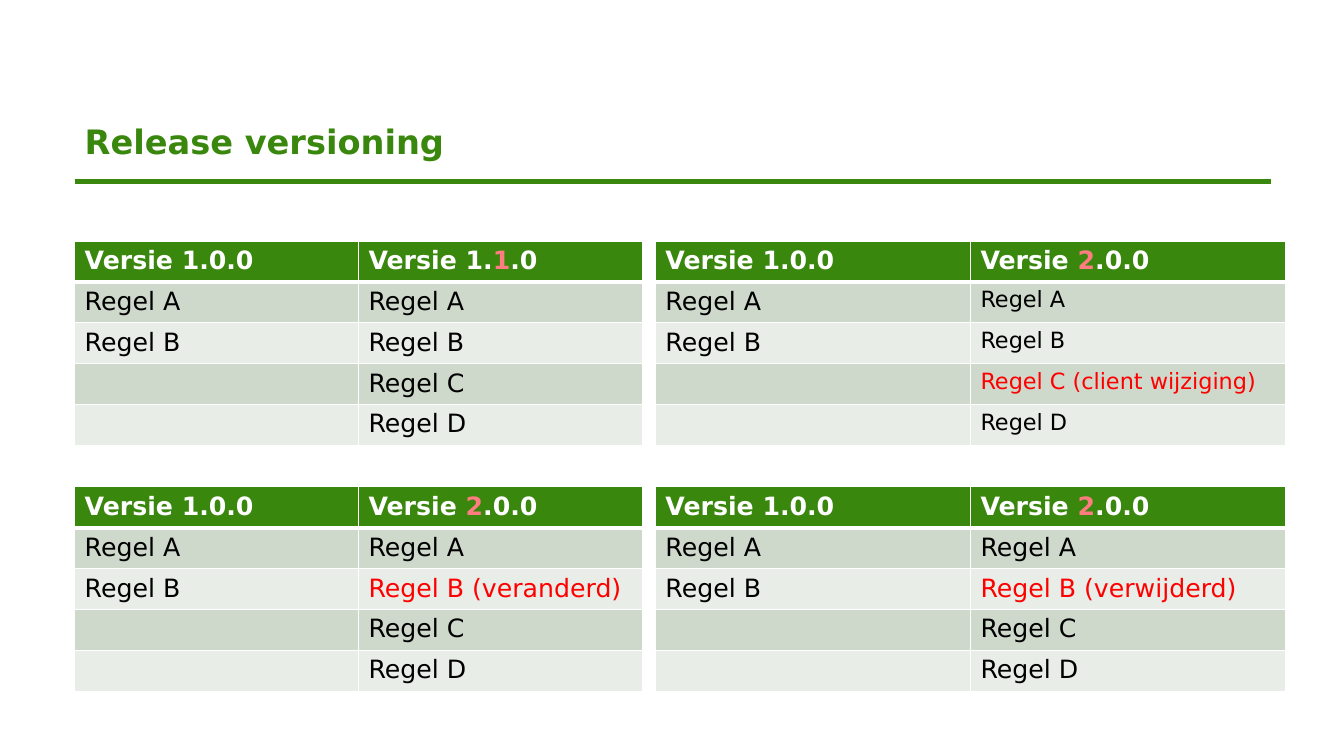
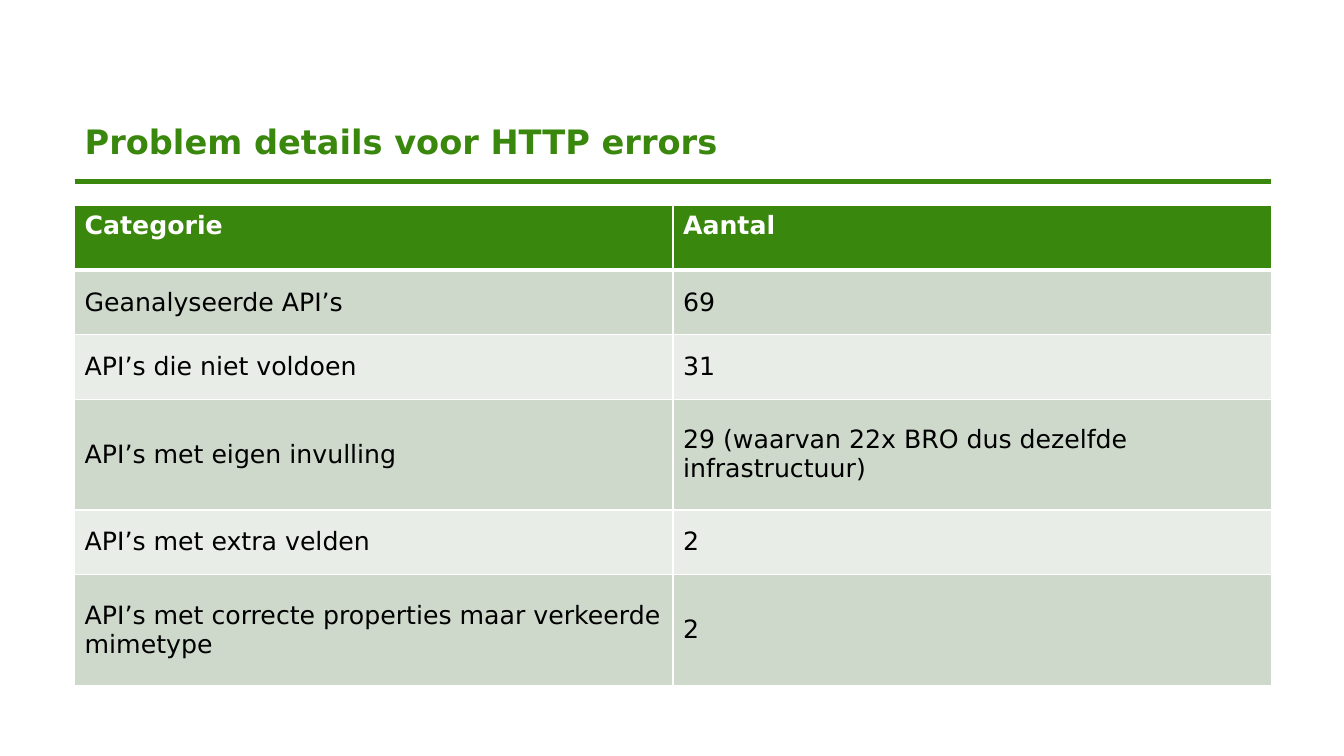
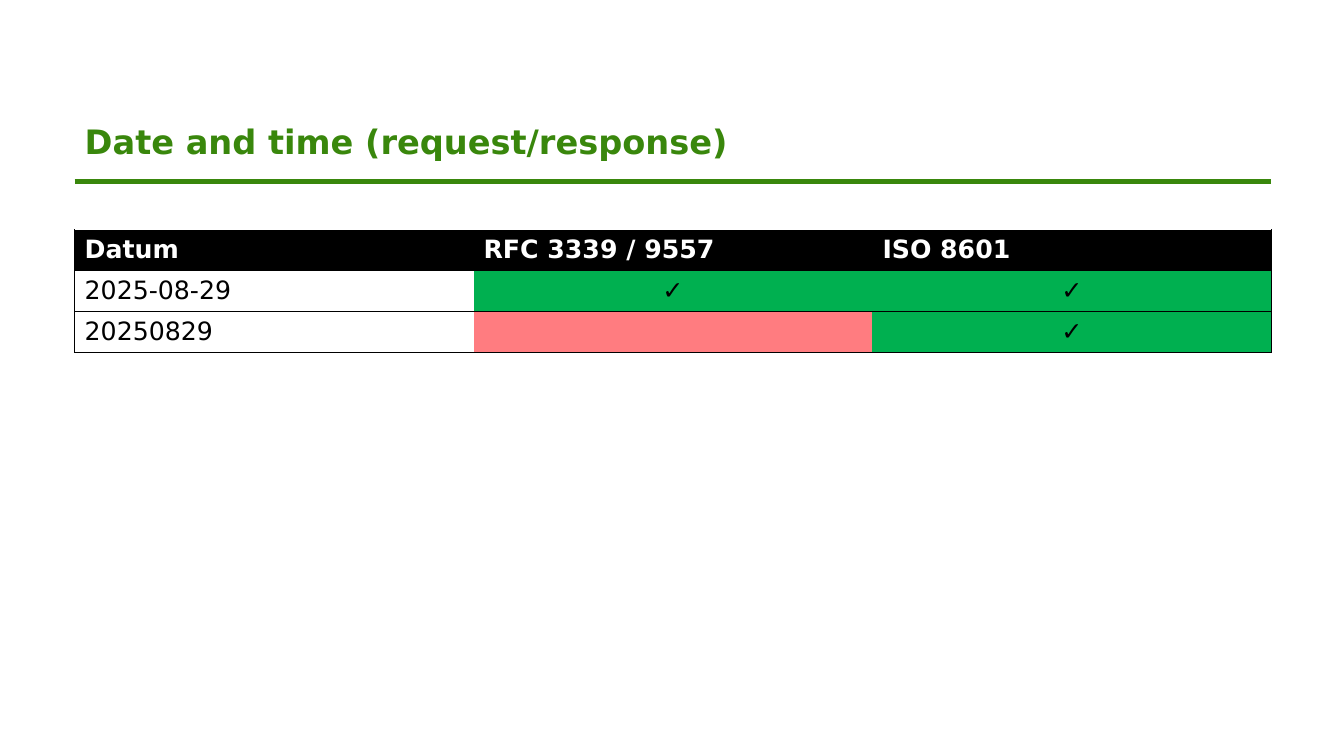
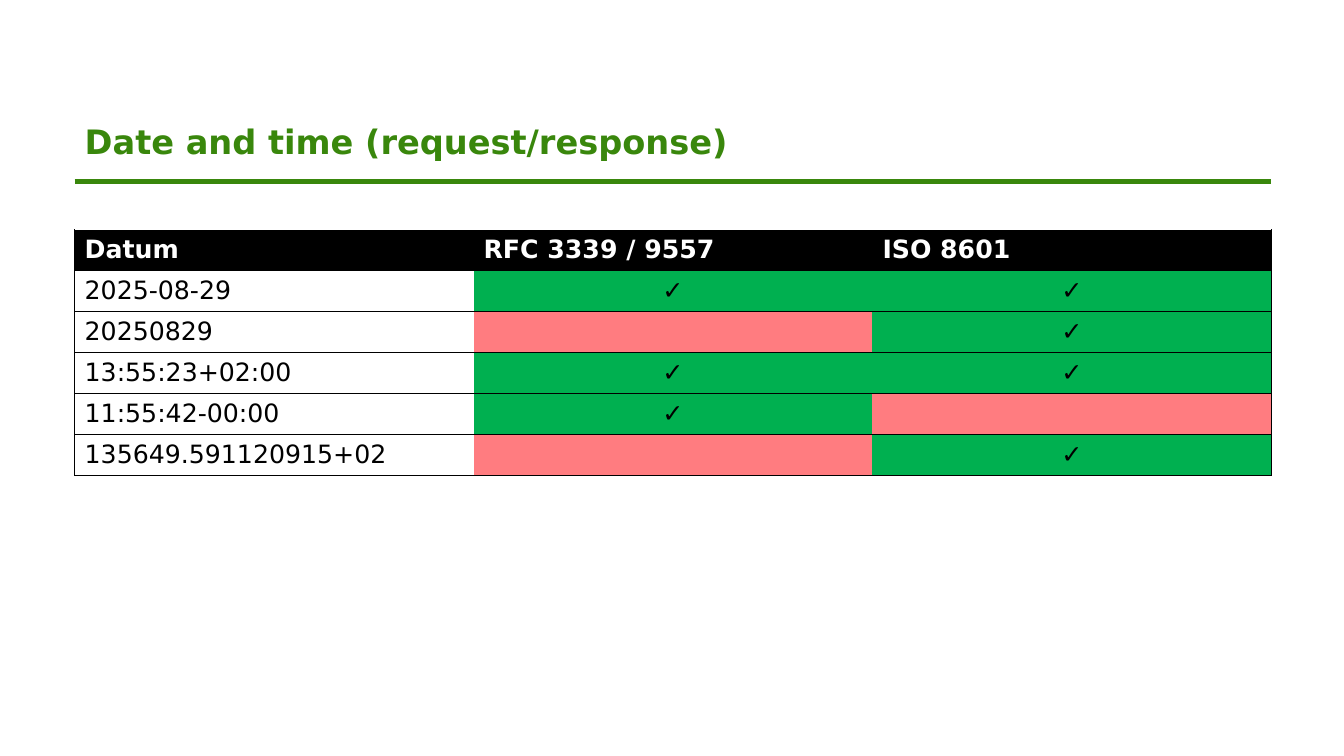
from lxml import etree
from pptx import Presentation
from pptx.dml.color import RGBColor
from pptx.enum.shapes import MSO_CONNECTOR
from pptx.enum.text import MSO_ANCHOR, MSO_AUTO_SIZE, PP_ALIGN
from pptx.oxml.ns import qn
from pptx.util import Inches, Pt

STRAIGHT = MSO_CONNECTOR.STRAIGHT
TOP, MIDDLE, BOTTOM = MSO_ANCHOR.TOP, MSO_ANCHOR.MIDDLE, MSO_ANCHOR.BOTTOM
LEFT, CENTER = PP_ALIGN.LEFT, PP_ALIGN.CENTER
NO_FIT = MSO_AUTO_SIZE.NONE
TITLE_ONLY = 5

FONT = "DejaVu Sans"
GREEN, WHITE, BLACK = "39870C", "FFFFFF", "000000"
BANDS = ("CED9CC", "E8EDE7")
RED, PINK, PASS = "FF0000", "FF7C80", "00B050"
MARGIN, CONTENT_WIDTH = 0.74, 11.87
TITLE_TOP, TITLE_HEIGHT, RULE_TOP = 0.94, 0.71, 1.8
ROW = 0.406
CHECK = "✓"


def color(value):
    return RGBColor.from_string(value)


def write_text(frame, text, size=18, fill=BLACK, bold=False, align=LEFT, spacing=None):
    pieces = [(text, fill)] if isinstance(text, str) else text
    paragraph = frame.paragraphs[0]
    paragraph.alignment = align
    if spacing:
        paragraph.line_spacing = spacing
    for piece, piece_color in pieces:
        run = paragraph.add_run()
        run.text = piece
        run.font.name = FONT
        run.font.size = Pt(size)
        run.font.bold = bold
        run.font.color.rgb = color(piece_color)


def add_rule(slide):
    rule = slide.shapes.add_connector(
        STRAIGHT, Inches(MARGIN), Inches(RULE_TOP),
        Inches(MARGIN + CONTENT_WIDTH), Inches(RULE_TOP))
    rule.line.color.rgb = color(GREEN)
    rule.line.width = Pt(3)
    etree.SubElement(rule.element.spPr, qn("a:effectLst"))
    rule.element.nvCxnSpPr.cNvPr.set("id", "20")
    slide.slide_layout.shapes.element.append(rule.element)


def add_titled_slide(presentation, text):
    slide = presentation.slides.add_slide(presentation.slide_layouts[TITLE_ONLY])
    title = slide.shapes.title
    title.left, title.top = Inches(MARGIN), Inches(TITLE_TOP)
    title.width, title.height = Inches(CONTENT_WIDTH), Inches(TITLE_HEIGHT)
    frame = title.text_frame
    frame.auto_size = NO_FIT
    frame.vertical_anchor = BOTTOM
    write_text(frame, text, size=24, fill=GREEN, bold=True, spacing=0.9)
    return slide


def set_borders(cell, **borders):
    properties = cell._tc.get_or_add_tcPr()
    for index, side in enumerate("LRTB"):
        width, line_color = borders.get(side, (0, None))
        line = etree.Element(qn(f"a:ln{side}"), w=str(Pt(width)))
        if line_color:
            solid = etree.SubElement(line, qn("a:solidFill"))
            etree.SubElement(solid, qn("a:srgbClr"), val=line_color)
        else:
            etree.SubElement(line, qn("a:noFill"))
        properties.insert(index, line)


def add_table(slide, box, rows, heights):
    left, top, width = box
    columns = len(rows[0])
    table = slide.shapes.add_table(
        len(rows), columns, Inches(left), Inches(top),
        Inches(width), Inches(sum(heights))).table
    table.horz_banding = False
    for column in table.columns:
        column.width = Inches(width / columns)
    for row, height in zip(table.rows, heights):
        row.height = Inches(height)
    return table


def fill_cell(cell, text, background, anchor=TOP, **text_format):
    cell.fill.solid()
    cell.fill.fore_color.rgb = color(background)
    cell.vertical_anchor = anchor
    if text:
        write_text(cell.text_frame, text, **text_format)


def add_banded_table(slide, box, rows, heights, anchor=TOP, last_size=18):
    table = add_table(slide, box, rows, heights)
    thin, thick = (1, WHITE), (3, WHITE)
    for row, texts in enumerate(rows):
        for column, text in enumerate(texts):
            cell = table.cell(row, column)
            if row == 0:
                fill_cell(cell, text, GREEN, fill=WHITE, bold=True)
            else:
                size = last_size if column == len(texts) - 1 else 18
                fill_cell(cell, text, BANDS[(row - 1) % 2], anchor, size=size)
            set_borders(cell, L=thin, R=thin,
                        T=thick if row == 1 else thin,
                        B=thick if row == 0 else thin)


def add_release_table(slide, box, version, new_lines, last_size=18):
    before, changed, after = version
    header = [(before, WHITE), (changed, PINK), (after, WHITE)]
    old_lines = ("Regel A", "Regel B", "", "")
    rows = [("Versie 1.0.0", header), *zip(old_lines, new_lines)]
    add_banded_table(slide, box, rows, [ROW] * len(rows), last_size=last_size)


def add_check_table(slide, box, checks):
    rows = [("Datum", "RFC 3339 / 9557", "ISO 8601"), *checks]
    table = add_table(slide, box, rows, [ROW] * len(rows))
    hairline = (0.5, BLACK)
    for row, texts in enumerate(rows):
        for column, text in enumerate(texts):
            cell = table.cell(row, column)
            if row == 0:
                fill_cell(cell, text, BLACK, fill=WHITE, bold=True)
            elif column == 0:
                fill_cell(cell, text, WHITE, MIDDLE)
            else:
                fill_cell(cell, text, PASS if text else PINK, MIDDLE,
                          bold=True, align=CENTER)
            borders = {"T": hairline, "B": hairline}
            if column == 0:
                borders["L"] = hairline
            if column == len(texts) - 1:
                borders["R"] = hairline
            set_borders(cell, **borders)


def build_release_slide(presentation):
    slide = add_titled_slide(presentation, "Release versioning")
    add_rule(slide)
    columns = ((MARGIN, 5.63), (6.5, 6.25))
    tops = (2.39, 4.83)
    major = ("Versie ", "2", ".0.0")
    releases = (
        (0, 0, ("Versie 1.", "1", ".0"),
         ("Regel A", "Regel B", "Regel C", "Regel D"), 18),
        (0, 1, major,
         ("Regel A", [("Regel B (veranderd)", RED)], "Regel C", "Regel D"), 18),
        (1, 0, major,
         ("Regel A", "Regel B", [("Regel C (client wijziging)", RED)], "Regel D"), 16),
        (1, 1, major,
         ("Regel A", [("Regel B (verwijderd)", RED)], "Regel C", "Regel D"), 18),
    )
    for column, row, version, new_lines, last_size in releases:
        left, width = columns[column]
        add_release_table(slide, (left, tops[row], width), version, new_lines, last_size)


def build_problem_slide(presentation):
    slide = add_titled_slide(presentation, "Problem details voor HTTP errors")
    rows = (
        ("Categorie", "Aantal"),
        ("Geanalyseerde API’s", "69"),
        ("API’s die niet voldoen", "31"),
        ("API’s met eigen invulling", "29 (waarvan 22x BRO dus dezelfde infrastructuur)"),
        ("API’s met extra velden", "2"),
        ("API’s met correcte properties maar verkeerde mimetype", "2"),
    )
    single, double = 0.64, 1.1
    heights = (single, single, single, double, single, double)
    add_banded_table(slide, (MARGIN, 2.04, CONTENT_WIDTH), rows, heights, MIDDLE)


def build_date_slide(presentation, checks):
    slide = add_titled_slide(presentation, "Date and time (request/response)")
    add_check_table(slide, (MARGIN, 2.28, CONTENT_WIDTH), checks)


def main():
    presentation = Presentation()
    presentation.slide_width = Inches(13.33)
    presentation.slide_height = Inches(7.5)
    build_release_slide(presentation)
    build_problem_slide(presentation)
    date_checks = (
        ("2025-08-29", CHECK, CHECK),
        ("20250829", "", CHECK),
    )
    time_checks = (
        ("13:55:23+02:00", CHECK, CHECK),
        ("11:55:42-00:00", CHECK, ""),
        ("135649.591120915+02", "", CHECK),
    )
    build_date_slide(presentation, date_checks)
    build_date_slide(presentation, date_checks + time_checks)
    presentation.save("out.pptx")


if __name__ == "__main__":
    main()
